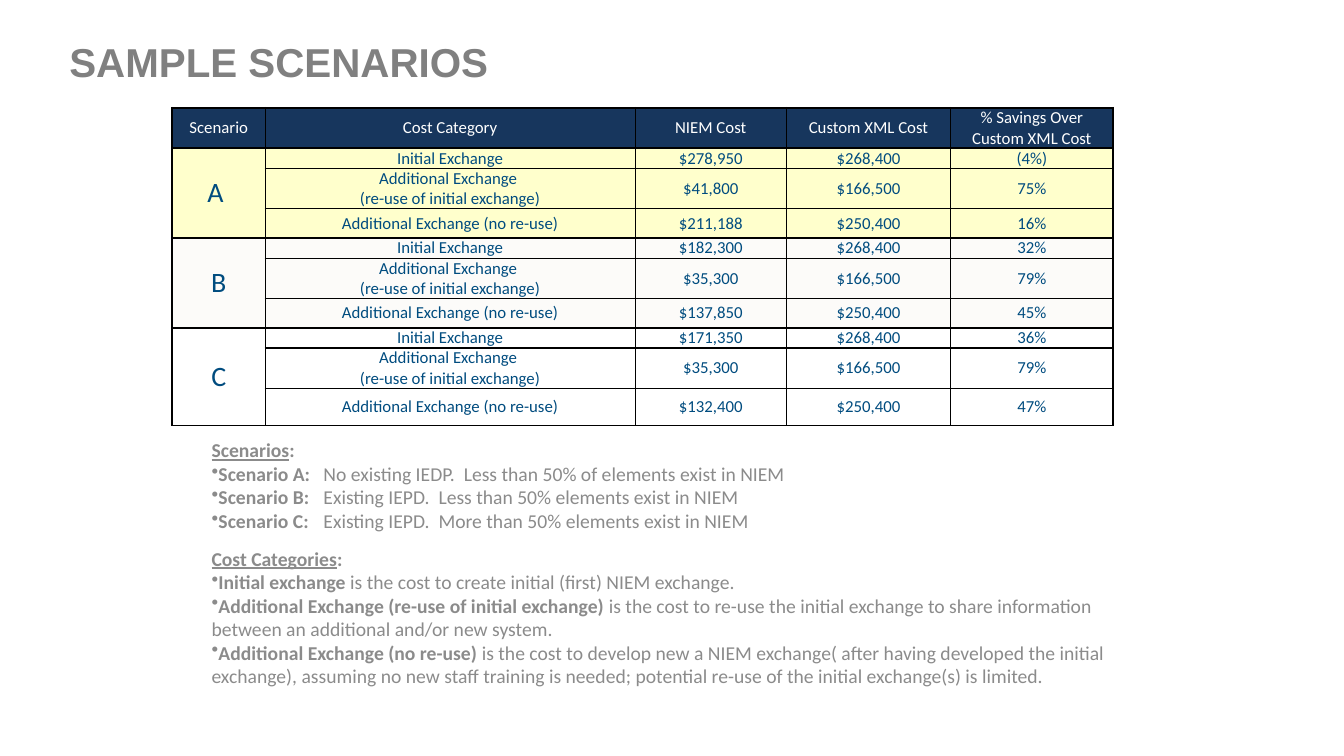
"""Build the Sample Scenarios slide: a cost comparison table with explanatory notes."""
import lxml.etree
import pptx
import pptx.dml.color
import pptx.enum.text
import pptx.oxml
import pptx.oxml.ns
import pptx.util

Inches = pptx.util.Inches
Pt = pptx.util.Pt
qn = pptx.oxml.ns.qn
MIDDLE = pptx.enum.text.MSO_ANCHOR.MIDDLE
CENTER = pptx.enum.text.PP_ALIGN.CENTER

THEME = {
    "title": {"name": "Arial", "size": 28.8, "color": "808080", "bold": True},
    "header": {"name": "Calibri", "size": 12, "color": "FFFFFF"},
    "body": {"name": "Calibri", "size": 12, "color": "004C7F"},
    "scenario": {"name": "Calibri", "size": 20, "color": "004C7F"},
    "note": {"name": "Calibri", "size": 14, "color": "8B8B8B", "bold": False},
    "header_fill": "17365D",
    "scenario_fills": ["FFFFCC", "FCFBF9", None],
    "border": "000000",
    "thick": 1.5,
    "thin": 1,
}

HEADERS = ["Scenario", "Cost Category", "NIEM Cost", "Custom XML Cost",
           "% Savings Over Custom XML Cost"]
CATEGORIES = ["Initial Exchange",
              "Additional Exchange \n(re-use of initial exchange)",
              "Additional Exchange (no re-use)"]
CUSTOM_COSTS = ["$268,400", "$166,500", "$250,400"]
SCENARIOS = [
    ("A ", ["$278,950", "$41,800", "$211,188"], ["(4%)", "75%", "16%"]),
    ("B", ["$182,300", "$35,300", "$137,850"], ["32%", "79%", "45%"]),
    ("C", ["$171,350", "$35,300", "$132,400"], ["36%", "79%", "47%"]),
]
COLUMN_WIDTHS = [0.92, 3.67, 1.5, 1.63, 1.61]
ROW_HEIGHTS = [0.4, 0.2, 0.4, 0.29, 0.2, 0.4, 0.29, 0.2, 0.4, 0.37]
NOTES = [
    ("Scenarios", [
        ("Scenario A:", "\tNo existing IEDP.  Less than 50% of elements exist in NIEM"),
        ("Scenario B:", "\tExisting IEPD.  Less than 50% elements exist in NIEM"),
        ("Scenario C:", "\tExisting IEPD.  More than 50% elements exist in NIEM"),
    ]),
    ("Cost Categories", [
        ("Initial exchange", " is the cost to create initial (first) NIEM exchange."),
        ("Additional Exchange (re-use of initial exchange)",
         " is the cost to re-use the initial exchange to share information "
         "between an additional and/or new system."),
        ("Additional Exchange (no re-use)",
         " is the cost to develop new a NIEM exchange( after having developed the "
         "initial exchange), assuming no new staff training is needed; potential "
         "re-use of the initial exchange(s) is limited."),
    ]),
]


def add_run(paragraph, text, style, **changes):
    """Add a run of text in a theme style."""
    run = paragraph.add_run()
    run.text = text
    for key, value in {**style, **changes}.items():
        if key == "color":
            run.font.color.rgb = pptx.dml.color.RGBColor.from_string(value)
        else:
            setattr(run.font, key, Pt(value) if key == "size" else value)


def add_border(cell, side, width):
    """Add a solid line to one side of a cell."""
    line = lxml.etree.SubElement(cell._tc.get_or_add_tcPr(), qn(f"a:ln{side}"), w=str(Pt(width)))
    fill = lxml.etree.SubElement(line, qn("a:solidFill"))
    lxml.etree.SubElement(fill, qn("a:srgbClr"), val=THEME["border"])


presentation = pptx.Presentation()
presentation.slide_width = Inches(13.33)
presentation.slide_height = Inches(7.5)
slide = presentation.slides.add_slide(presentation.slide_layouts[6])

title = slide.shapes.add_textbox(Inches(0.59), Inches(0.45), Inches(10.6), Inches(0.4))
title.text_frame.word_wrap = True
title.text_frame.vertical_anchor = MIDDLE
title_paragraph = title.text_frame.paragraphs[0]
title_paragraph.line_spacing = 0.8
add_run(title_paragraph, "SAMPLE SCENARIOS", THEME["title"])

rows = [HEADERS]
for scenario, niem_costs, savings in SCENARIOS:
    for index, values in enumerate(zip(CATEGORIES, niem_costs, CUSTOM_COSTS, savings)):
        rows.append([scenario if index == 0 else "", *values])

table = slide.shapes.add_table(len(rows), len(HEADERS), Inches(1.71), Inches(1.07),
                               Inches(9.33), Inches(3.15)).table
table.first_row = False
table.horz_banding = False
for column, width in zip(table.columns, COLUMN_WIDTHS):
    column.width = Inches(width)
for row, height in zip(table.rows, ROW_HEIGHTS):
    row.height = Inches(height)

cell_format = {"vertical_anchor": MIDDLE, "margin_left": Inches(0.05),
               "margin_right": Inches(0.05), "margin_top": 0, "margin_bottom": 0}
for row_index, values in enumerate(rows):
    for column_index, value in enumerate(values):
        cell = table.cell(row_index, column_index)
        for key, setting in cell_format.items():
            setattr(cell, key, setting)
        thick_sides = {"L": column_index == 0, "R": column_index == len(HEADERS) - 1,
                       "T": row_index == 0 or row_index % 3 == 1, "B": row_index % 3 == 0}
        for side, is_thick in thick_sides.items():
            add_border(cell, side, THEME["thick"] if is_thick else THEME["thin"])

        if row_index == 0:
            style, fill_color = THEME["header"], THEME["header_fill"]
        else:
            style = THEME["scenario"] if column_index == 0 else THEME["body"]
            fill_color = THEME["scenario_fills"][(row_index - 1) // 3]
        if fill_color:
            cell.fill.solid()
            cell.fill.fore_color.rgb = pptx.dml.color.RGBColor.from_string(fill_color)
        else:
            cell.fill.background()

        if value:
            for line_index, text in enumerate(value.split("\n")):
                frame = cell.text_frame
                paragraph = frame.add_paragraph() if line_index else frame.paragraphs[0]
                paragraph.alignment = CENTER
                add_run(paragraph, text, style)

for first_row in range(1, len(rows), 3):
    table.cell(first_row, 0).merge(table.cell(first_row + 2, 0))

notes = slide.shapes.add_textbox(Inches(2), Inches(4.24), Inches(9.66), Inches(2.69))
notes_frame = notes.text_frame
notes_frame.word_wrap = True
notes_frame.auto_size = pptx.enum.text.MSO_AUTO_SIZE.SHAPE_TO_FIT_TEXT
notes_frame.vertical_anchor = MIDDLE
for section_index, (heading, items) in enumerate(NOTES):
    if section_index:
        paragraph = notes_frame.add_paragraph()
        paragraph.space_before = Pt(10)
    else:
        paragraph = notes_frame.paragraphs[0]
    add_run(paragraph, heading, THEME["note"], bold=True, underline=True)
    add_run(paragraph, ":", THEME["note"], bold=True)
    for term, explanation in items:
        paragraph = notes_frame.add_paragraph()
        properties = paragraph._p.get_or_add_pPr()
        lxml.etree.SubElement(properties, qn("a:buChar"), char="•")
        if explanation.startswith("\t"):
            tabs = lxml.etree.SubElement(properties, qn("a:tabLst"))
            lxml.etree.SubElement(tabs, qn("a:tab"), pos=str(Inches(1.11)), algn="l")
        add_run(paragraph, term, THEME["note"], bold=True)
        add_run(paragraph, explanation, THEME["note"])

presentation.save("out.pptx")
